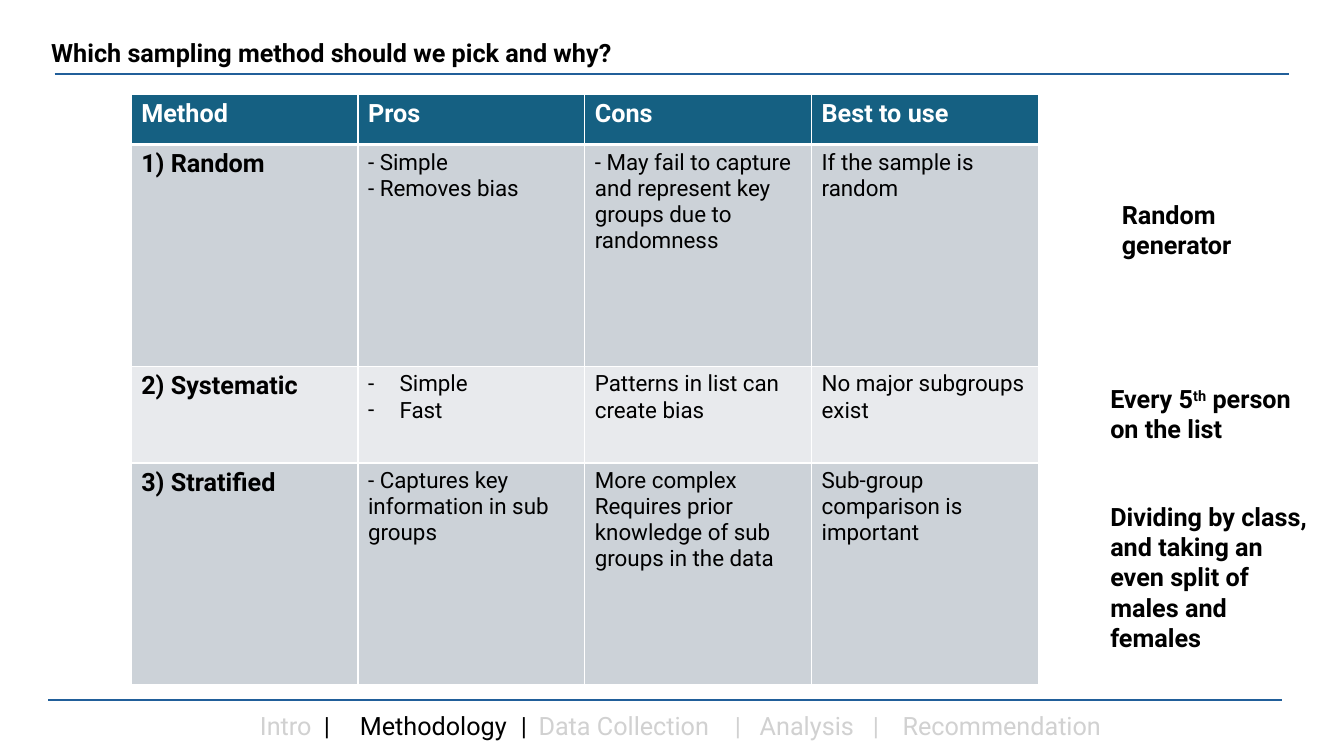
from lxml.etree import SubElement
from pptx import Presentation
from pptx.dml.color import RGBColor
from pptx.enum.shapes import MSO_CONNECTOR
from pptx.oxml.ns import qn
from pptx.util import Pt

BLACK, WHITE, GREY = "000000", "FFFFFF", "D1D1D1"
RULE_BLUE, HEADER_BLUE = "215F9A", "156082"
BAND_FILLS = ["E8EAED", "CCD2D8"]


def color(hex_string):
    return RGBColor.from_string(hex_string)


def format_runs(paragraph, size=18, hex_string=BLACK, bold=True):
    for run in paragraph.runs:
        run.font.name = "Roboto"
        run.font.size = Pt(size)
        run.font.bold = bold
        run.font.color.rgb = color(hex_string)


presentation = Presentation()
presentation.slide_width = Pt(960)
presentation.slide_height = Pt(540)
slide = presentation.slides.add_slide(presentation.slide_layouts[6])

# Rules under the title and above the footer
for left, top in [(39, 52.7), (34.5, 499.7)]:
    rule = slide.shapes.add_connector(
        MSO_CONNECTOR.STRAIGHT, Pt(left), Pt(top), Pt(left + 881.5), Pt(top))
    rule.line.color.rgb = color(RULE_BLUE)
    rule.line.width = Pt(1.5)
    SubElement(rule._element.spPr, qn("a:effectLst"))

# Comparison table
rows = [
    ["Method", "Pros", "Cons", "Best to use"],
    ["1) Random", "- Simple\n- Removes bias",
     "- May fail to capture and represent key groups due to randomness",
     "If the sample is random"],
    ["2) Systematic", "Simple\nFast", "Patterns in list can create bias",
     "No major subgroups exist"],
    ["3) Stratified", "- Captures key information in sub groups",
     "More complex\nRequires prior knowledge of sub groups in the data",
     "Sub-group comparison is important"],
]
row_heights = [36, 158.4, 69.1, 158.4]
table = slide.shapes.add_table(
    len(rows), 4, Pt(93.7), Pt(67.2), Pt(648), Pt(sum(row_heights))).table

for row_index, row in enumerate(rows):
    table.rows[row_index].height = Pt(row_heights[row_index])
    is_header = row_index == 0
    for column_index, text in enumerate(row):
        cell = table.cell(row_index, column_index)
        cell.text_frame.text = text
        is_label = is_header or column_index == 0
        for paragraph in cell.text_frame.paragraphs:
            format_runs(paragraph, 18 if is_label else 16,
                        WHITE if is_header else BLACK, is_label)
            if (row_index, column_index) == (2, 1):
                properties = paragraph._p.get_or_add_pPr()
                properties.set("marL", str(Pt(22.5)))
                properties.set("indent", str(Pt(-22.5)))
                SubElement(properties, qn("a:buFont"), typeface="Roboto")
                SubElement(properties, qn("a:buChar"), char="-")

        cell_properties = cell._tc.get_or_add_tcPr()
        for side in ["L", "R", "T", "B"]:
            is_thick = (row_index, side) in [(0, "B"), (1, "T")]
            border = SubElement(cell_properties, qn(f"a:ln{side}"),
                                w=str(Pt(3 if is_thick else 1)))
            border_fill = SubElement(border, qn("a:solidFill"))
            SubElement(border_fill, qn("a:srgbClr"), val=WHITE)
        cell.fill.solid()
        cell.fill.fore_color.rgb = color(
            HEADER_BLUE if is_header else BAND_FILLS[row_index % 2])

# Title, examples beside the table and footer: position, then (text, colour) runs
text_boxes = [
    (29.5, 23, 507, 29,
     [("Which sampling method should we pick and why?", BLACK)]),
    (794.2, 138.5, 132, 51, [("Random generator", BLACK)]),
    (786, 270.3, 165.6, 51,
     [("Every 5", BLACK), ("th", BLACK), (" person on the list", BLACK)]),
    (786, 354.5, 165.6, 117,
     [("Dividing by class, and taking an even split of males and females", BLACK)]),
    (178.6, 504, 673, 29,
     [("Intro", GREY), ("\t|\tMethodology\t|\t", BLACK),
      ("Data Collection\t|\tAnalysis\t|\tRecommendation", GREY)]),
]
for left, top, width, height, runs in text_boxes:
    text_frame = slide.shapes.add_textbox(
        Pt(left), Pt(top), Pt(width), Pt(height)).text_frame
    text_frame.word_wrap = True
    paragraph = text_frame.paragraphs[0]
    is_footer = runs[0][0] == "Intro"
    for text, _ in runs:
        paragraph.add_run().text = text
    format_runs(paragraph, bold=not is_footer)
    for run, (text, hex_string) in zip(paragraph.runs, runs):
        run.font.color.rgb = color(hex_string)
        if text == "th":
            run.font._element.set("baseline", "30000")
    if is_footer:
        tab_list = SubElement(paragraph._p.get_or_add_pPr(), qn("a:tabLst"))
        for position in [45.7, 71.4, 186.4, 199, 339.3, 357, 437.9, 459]:
            SubElement(tab_list, qn("a:tab"), pos=str(Pt(position)), algn="l")

presentation.save("out.pptx")
